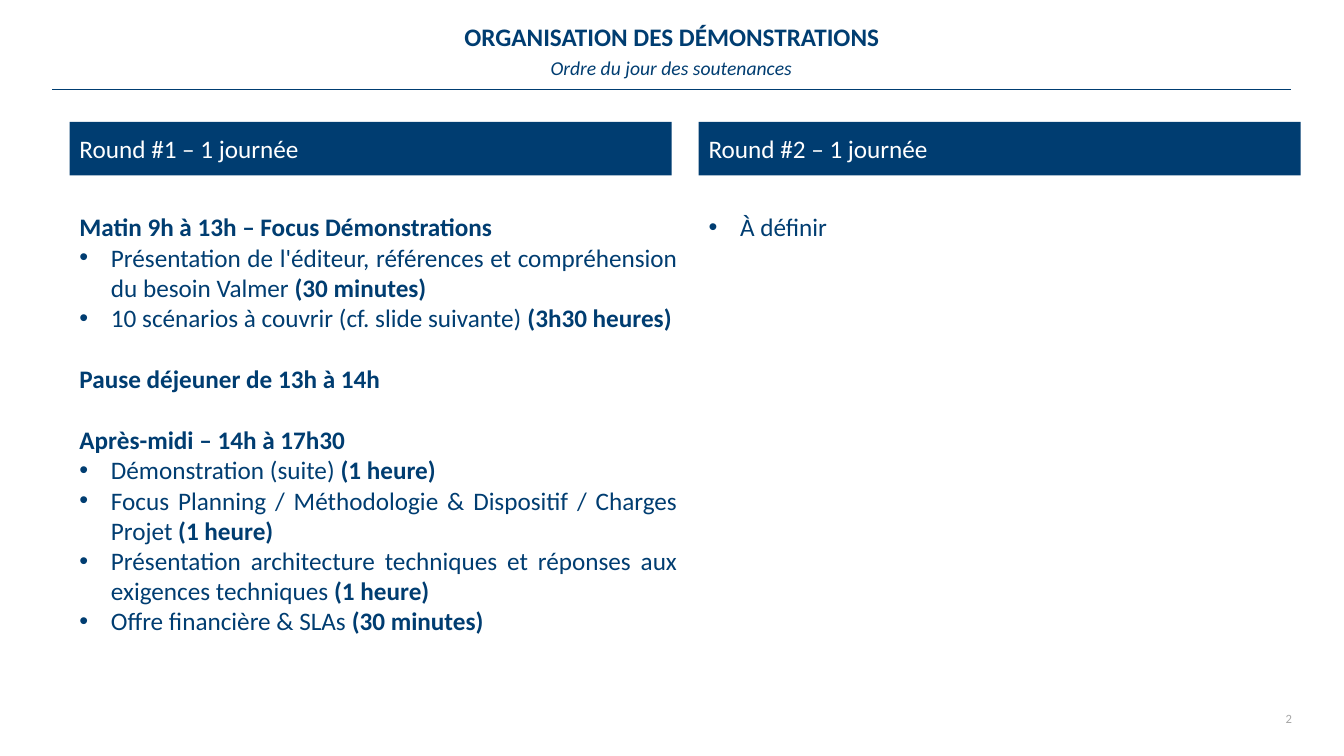
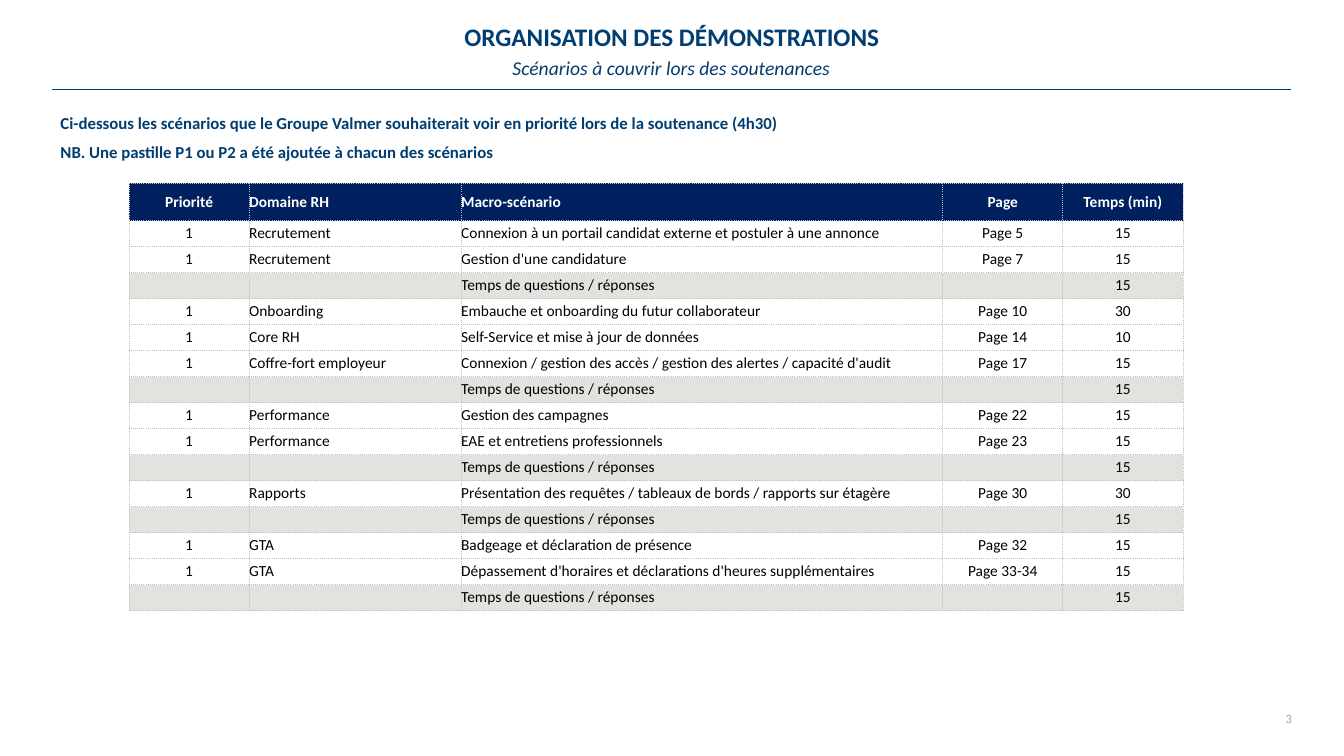
from lxml import etree
from pptx import Presentation
from pptx import util as u
from pptx.dml import color as dml
from pptx.enum import shapes, text
from pptx.oxml import ns

Pt = u.Pt
ALIGN = text.PP_ALIGN
MIDDLE = text.MSO_ANCHOR.MIDDLE

FONT = "Calibri"
BLUE, NAVY, WHITE, BLACK = "003D71", "002060", "FFFFFF", "000000"
PAGE_GREY, BORDER_GREY, BAND_GREY = "A6A6A6", "BFBFBF", "E1E3DF"

LEFT, WIDTH = 36.7, 886.3
COLUMN_LEFT, COLUMN_STEP, COLUMN_WIDTH = 49.7, 449.3, 430
BULLET_INDENT = 22.5
LINE_HEIGHT = 22

TITLE = "ORGANISATION DES DÉMONSTRATIONS"

MORNING = [
    ("Présentation de l'éditeur, références et compréhension du besoin Valmer ", "(30 minutes)"),
    ("10 scénarios à couvrir (cf. slide suivante) ", "(3h30 heures)"),
]
AFTERNOON = [
    ("Démonstration (suite) ", "(1 heure)"),
    ("Focus Planning / Méthodologie & Dispositif / Charges Projet ", "(1 heure)"),
    ("Présentation architecture techniques et réponses aux exigences techniques ", "(1 heure)"),
    ("Offre financière & SLAs ", "(30 minutes)"),
]
AGENDA = [
    ("Matin 9h à 13h – Focus Démonstrations", MORNING),
    ("Pause déjeuner de 13h à 14h", []),
    ("Après-midi – 14h à 17h30", AFTERNOON),
]

HEADINGS = ("Priorité", "Domaine RH", "Macro-scénario", "Page", "Temps (min)")
COLUMN_WIDTHS = (85.8, 151.4, 344, 85.8, 85.8)
COLUMN_ALIGNS = (ALIGN.CENTER, ALIGN.LEFT, ALIGN.LEFT, ALIGN.CENTER, ALIGN.CENTER)
HEADER_HEIGHT, ROW_HEIGHT = 26.6, 18.58
QUESTIONS = ("", "", "Temps de questions / réponses", "", "15")
# Each session of scenarios closes with a row of questions.
SESSIONS = [
    [("Recrutement", "Connexion à un portail candidat externe et postuler à une annonce", "5", "15"),
     ("Recrutement", "Gestion d'une candidature", "7", "15")],
    [("Onboarding", "Embauche et onboarding du futur collaborateur", "10", "30"),
     ("Core RH", "Self-Service et mise à jour de données", "14", "10"),
     ("Coffre-fort employeur",
      "Connexion / gestion des accès / gestion des alertes / capacité d'audit", "17", "15")],
    [("Performance", "Gestion des campagnes", "22", "15"),
     ("Performance", "EAE et entretiens professionnels", "23", "15")],
    [("Rapports", "Présentation des requêtes / tableaux de bords / rapports sur étagère", "30", "30")],
    [("GTA", "Badgeage et déclaration de présence", "32", "15"),
     ("GTA", "Dépassement d'horaires et déclarations d'heures supplémentaires", "33-34", "15")],
]


def rgb(value):
    return dml.RGBColor.from_string(value)


def add_bullet(para):
    props = para._p.get_or_add_pPr()
    props.set("marL", str(Pt(BULLET_INDENT)))
    props.set("indent", str(-Pt(BULLET_INDENT)))
    etree.SubElement(props, ns.qn("a:buFont"), typeface="Arial")
    etree.SubElement(props, ns.qn("a:buChar"), char="•")


def write(frame, content, *, size=18, color=BLUE, bold=False, italic=False,
          align=ALIGN.LEFT, before=0, spacing=None, bullet=False):
    """Add one paragraph; content is a string or a (plain, bold) pair."""
    para = frame.add_paragraph() if frame.text else frame.paragraphs[0]
    para.alignment = align
    para.space_before = Pt(before)
    if spacing:
        para.line_spacing = spacing
    if bullet:
        add_bullet(para)
    spans = [(content, bold)] if isinstance(content, str) else zip(content, (False, True))
    for words, strong in spans:
        span = para.add_run()
        span.text = words
        font = span.font
        font.name, font.size, font.bold, font.italic = FONT, Pt(size), strong, italic
        font.color.rgb = rgb(color)


def set_margins(target, left, top, right, bottom):
    target.margin_left, target.margin_top = Pt(left), Pt(top)
    target.margin_right, target.margin_bottom = Pt(right), Pt(bottom)


def add_text_box(slide, left, top, width, height, margins=(7.2, 3.6, 7.2, 3.6), anchor=None):
    box = slide.shapes.add_textbox(Pt(left), Pt(top), Pt(width), Pt(height))
    frame = box.text_frame
    frame.word_wrap = True
    set_margins(frame, *margins)
    if anchor is not None:
        frame.vertical_anchor = anchor
    return frame


def add_rule(slide):
    rule = slide.shapes.add_connector(
        shapes.MSO_CONNECTOR.STRAIGHT, Pt(37.5), Pt(64.1), Pt(922.5), Pt(64.1))
    rule.line.color.rgb = rgb(BLUE)
    rule.line.width = Pt(0.75)
    etree.SubElement(rule._element.spPr, ns.qn("a:effectLst"))


def add_page(deck, subtitle, number):
    slide = deck.slides.add_slide(deck.slide_layouts[6])
    add_rule(slide)
    frame = add_text_box(slide, 881, 507.6, 41.8, 10.8, (0, 0, 0, 0), MIDDLE)
    write(frame, str(number), size=9, color=PAGE_GREY, align=ALIGN.RIGHT)
    frame = add_text_box(slide, LEFT, 38.2, WIDTH, 20.9, (6.5, 0, 7.2, 0), MIDDLE)
    write(frame, subtitle, size=14, italic=True, align=ALIGN.CENTER)
    frame = add_text_box(slide, LEFT, 16.6, WIDTH, 20.9, (7.2, 0, 7.2, 0), MIDDLE)
    write(frame, TITLE, bold=True, align=ALIGN.CENTER, spacing=0.9)
    return slide


def add_round(slide, index, body_width, body_height):
    """Draw the band of one round and return the text frame under it."""
    left = COLUMN_LEFT + index * COLUMN_STEP
    band = slide.shapes.add_shape(
        shapes.MSO_SHAPE.RECTANGLE, Pt(left), Pt(87.1), Pt(COLUMN_WIDTH), Pt(38.2))
    band.shadow.inherit = False
    band.fill.solid()
    band.fill.fore_color.rgb = rgb(BLUE)
    band.line.fill.background()
    band.text_frame.vertical_anchor = MIDDLE
    write(band.text_frame, f"Round #{index + 1} – 1 journée", color=WHITE)
    return add_text_box(slide, left, 147.6, body_width, body_height)


def add_borders(cell):
    props = cell._tc.get_or_add_tcPr()
    for position, side in enumerate(("lnL", "lnR", "lnT", "lnB")):
        line = etree.Element(ns.qn(f"a:{side}"), w=str(Pt(0.5)))
        fill = etree.SubElement(line, ns.qn("a:solidFill"))
        etree.SubElement(fill, ns.qn("a:srgbClr"), val=BORDER_GREY)
        etree.SubElement(line, ns.qn("a:prstDash"), val="dot")
        props.insert(position, line)


def fill_cell(cell, words, fill, **style):
    set_margins(cell, 0, 0, 0, 0)
    cell.vertical_anchor = MIDDLE
    if fill:
        cell.fill.solid()
        cell.fill.fore_color.rgb = rgb(fill)
    else:
        cell.fill.background()
    add_borders(cell)
    if words:
        write(cell.text_frame, words, size=11, **style)
    else:
        # An empty cell needs a small font, or its row grows.
        etree.SubElement(cell.text_frame.paragraphs[0]._p, ns.qn("a:endParaRPr"), sz="1100")


def add_scenario_table(slide):
    rows = [(HEADINGS, NAVY, {"color": WHITE, "bold": True})]
    for session in SESSIONS:
        for domain, scenario, page, minutes in session:
            rows.append((("1", domain, scenario, f"Page {page}", minutes), None, {"color": BLACK}))
        rows.append((QUESTIONS, BAND_GREY, {"color": BLACK}))

    height = HEADER_HEIGHT + ROW_HEIGHT * (len(rows) - 1)
    table = slide.shapes.add_table(
        len(rows), len(HEADINGS), Pt(92.2), Pt(131), Pt(sum(COLUMN_WIDTHS)), Pt(height)).table
    table.horz_banding = False
    for column, width in zip(table.columns, COLUMN_WIDTHS):
        column.width = Pt(width)
    for index, (values, fill, style) in enumerate(rows):
        table.rows[index].height = Pt(ROW_HEIGHT if index else HEADER_HEIGHT)
        for cell, words, align in zip(table.rows[index].cells, values, COLUMN_ALIGNS):
            fill_cell(cell, words, fill, align=align, **style)


def build_agenda(deck):
    slide = add_page(deck, "Ordre du jour des soutenances", 2)
    frame = add_round(slide, 0, 441.4, 312.5)
    for index, (heading, items) in enumerate(AGENDA):
        write(frame, heading, bold=True, align=ALIGN.JUSTIFY, before=LINE_HEIGHT if index else 0)
        for item in items:
            write(frame, item, align=ALIGN.JUSTIFY, bullet=True)
    write(add_round(slide, 1, COLUMN_WIDTH, 29), "À définir", bullet=True)


def build_scenarios(deck):
    slide = add_page(deck, "Scénarios à couvrir lors des soutenances", 3)
    frame = add_text_box(slide, LEFT, 77, WIDTH, 35.3, (6.5, 3.6, 7.2, 3.6))
    for sentence in (
        "Ci-dessous les scénarios que le Groupe Valmer souhaiterait voir en priorité "
        "lors de la soutenance (4h30)",
        "NB. Une pastille P1 ou P2 a été ajoutée à chacun des scénarios",
    ):
        write(frame, sentence, size=12, bold=True, before=6)
    add_scenario_table(slide)


def main():
    deck = Presentation()
    deck.slide_width, deck.slide_height = Pt(960), Pt(540)
    build_agenda(deck)
    build_scenarios(deck)
    deck.save("out.pptx")


if __name__ == "__main__":
    main()
